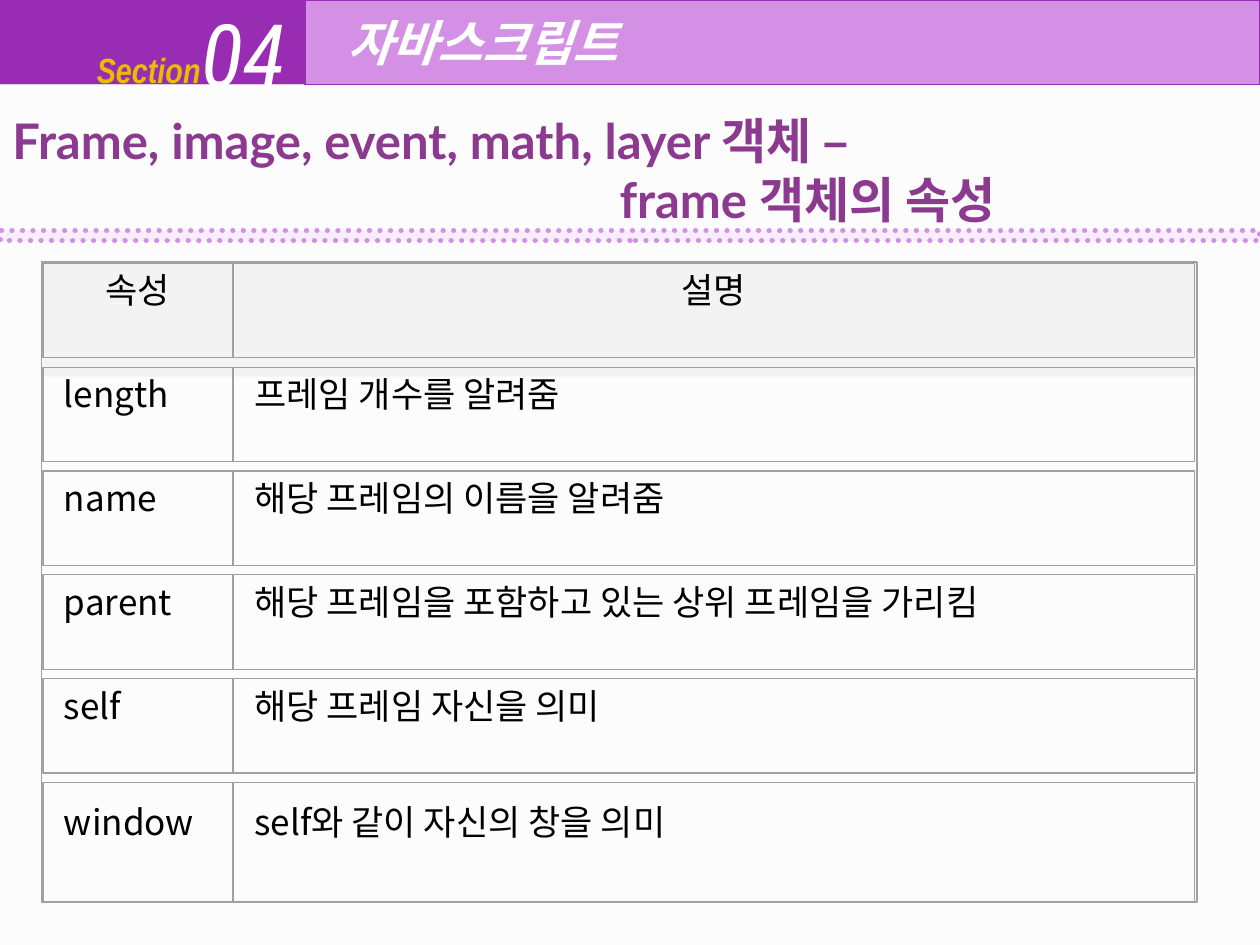
from pptx import Presentation
from pptx import util as u
from pptx.dml.color import RGBColor
from pptx.enum import dml, shapes, text
from pptx.oxml import xmlchemy
from pptx.oxml.ns import qn
from lxml import etree

PURPLE = RGBColor(0x98, 0x2C, 0xB2)
LILAC = RGBColor(0xD4, 0x90, 0xE4)
PALE_LILAC = RGBColor(0xF8, 0xED, 0xFB)
PLUM = RGBColor(0x8C, 0x3A, 0x90)
GOLD = RGBColor(0xE8, 0xBC, 0x00)
WHITE = RGBColor(0xFF, 0xFF, 0xFF)
OFF_WHITE = RGBColor(0xFB, 0xFB, 0xFD)
BLACK = RGBColor(0, 0, 0)
GRAY = RGBColor(0xA0, 0xA0, 0xA0)
LIGHT_GRAY = RGBColor(0xF3, 0xF3, 0xF3)

KOREAN_FONT = "Noto Sans CJK KR"
HEADINGS = ("속성", "설명")
PROPERTIES = [
    ("length", "프레임 개수를 알려줌"),
    ("name", "해당 프레임의 이름을 알려줌"),
    ("parent", "해당 프레임을 포함하고 있는 상위 프레임을 가리킴"),
    ("self", "해당 프레임 자신을 의미"),
    ("window", "self와 같이 자신의 창을 의미"),
]
COLUMNS = ((0.34, 1.51), (1.85, 7.63))
TABLE_TOP, ROW_PITCH = 2.09, 0.824


def add_rect(parent, bounds, fill=None, line=None, width=0.75):
    rect = parent.add_shape(shapes.MSO_SHAPE.RECTANGLE, *map(u.Inches, bounds))
    rect.shadow.inherit = False
    if fill is None:
        rect.fill.background()
    else:
        rect.fill.solid()
        rect.fill.fore_color.rgb = fill
    if line is None:
        rect.line.fill.background()
    else:
        rect.line.color.rgb = line
        rect.line.width = u.Pt(width)
    return rect


def prepare_text(box, anchor=text.MSO_ANCHOR.MIDDLE, left=0.1, bottom=0.05):
    frame = box.text_frame
    frame.word_wrap = True
    frame.vertical_anchor = anchor
    frame.margin_left, frame.margin_bottom = u.Inches(left), u.Inches(bottom)
    frame.paragraphs[0].alignment = text.PP_ALIGN.LEFT
    return frame


def add_span(para, words, size, font, color, bold=False, italic=False):
    span = para.add_run()
    span.text = words
    span.font.size = u.Pt(size)
    span.font.name = font
    span.font.color.rgb = color
    span.font.bold, span.font.italic = bold, italic
    east_asian = etree.Element(qn("a:ea"), typeface=KOREAN_FONT)
    span.font._element.find(qn("a:latin")).addnext(east_asian)


def add_label(page, bounds, words, size, font, color, bold):
    box = page.shapes.add_textbox(*map(u.Inches, bounds))
    para = prepare_text(box).paragraphs[0]
    add_span(para, words, size, font, color, bold, True)


def add_banner(page):
    add_rect(page.shapes, (0, 0, 2.42, 0.67), PURPLE)
    add_label(page, (0.67, 0.25, 1.58, 0.6), "Section", 20, "Arial Narrow", GOLD, True)
    add_label(page, (1.5, 0, 1, 0.83), "04", 50, "Roboto Condensed", WHITE, False)
    body = add_rect(page.shapes, (0, 0.67, 10, 6.83), OFF_WHITE)
    color = body.fill._xPr.find(qn("a:solidFill"))[0]
    etree.SubElement(color, qn("a:alpha"), val="50000")
    bar = add_rect(page.shapes, (2.42, 0, 7.58, 0.67), LILAC, PURPLE)
    para = prepare_text(bar, left=0.34).paragraphs[0]
    add_span(para, "자바스크립트", 28, "Lato", WHITE, True, True)


def add_cell(group, column, top, height, words, heading):
    left, width = column
    if heading:
        add_rect(group, (left, top, width, 0.9), LIGHT_GRAY)
    box = add_rect(group, (left + 0.07, top + 0.04, width - 0.14, height - 0.08),
                   LIGHT_GRAY if heading else None)
    para = prepare_text(box, bottom=0.38).paragraphs[0]
    para.alignment = text.PP_ALIGN.CENTER if heading else text.PP_ALIGN.JUSTIFY
    add_span(para, words, 20, KOREAN_FONT, BLACK)
    add_rect(group, (left, top, width, height), line=GRAY, width=0)


def add_property_grid(page):
    group = page.shapes.add_group_shape().shapes
    rows = [HEADINGS] + PROPERTIES
    for index, row in enumerate(rows):
        height = 0.95 if index == len(rows) - 1 else 0.75
        for column, words in zip(COLUMNS, row):
            add_cell(group, column, TABLE_TOP + index * ROW_PITCH, height,
                     words, index == 0)
    add_rect(group, (0.33, 2.08, 9.17, 5.08), line=GRAY)


def add_title(page):
    box = page.shapes.add_textbox(*map(u.Inches, (0, 0.83, 9.75, 1.04)))
    frame = prepare_text(box, text.MSO_ANCHOR.TOP)
    first = frame.paragraphs[0]
    add_span(first, "Frame, image, event, math, layer 객체 ", 28, "Lato", PLUM, True)
    add_span(first, "–", 28, "Times New Roman", PLUM, True)
    second = frame.add_paragraph()
    second._p.get_or_add_pPr().set("marL", str(u.Inches(4.82)))
    add_span(second, "frame 객체의 속성", 28, "Lato", PLUM, True)


def add_divider(page):
    divider = add_rect(page.shapes, (0, 1.83, 10, 0.08), PALE_LILAC, LILAC, 3)
    divider.line.dash_style = dml.MSO_LINE.ROUND_DOT
    divider.line._ln.set("cap", "rnd")


def main():
    deck = Presentation()
    deck.slide_width, deck.slide_height = u.Inches(10), u.Inches(7.5)
    page = deck.slides.add_slide(deck.slide_layouts[6])
    add_banner(page)
    add_property_grid(page)
    add_title(page)
    add_divider(page)
    deck.save("out.pptx")


if __name__ == "__main__":
    main()
